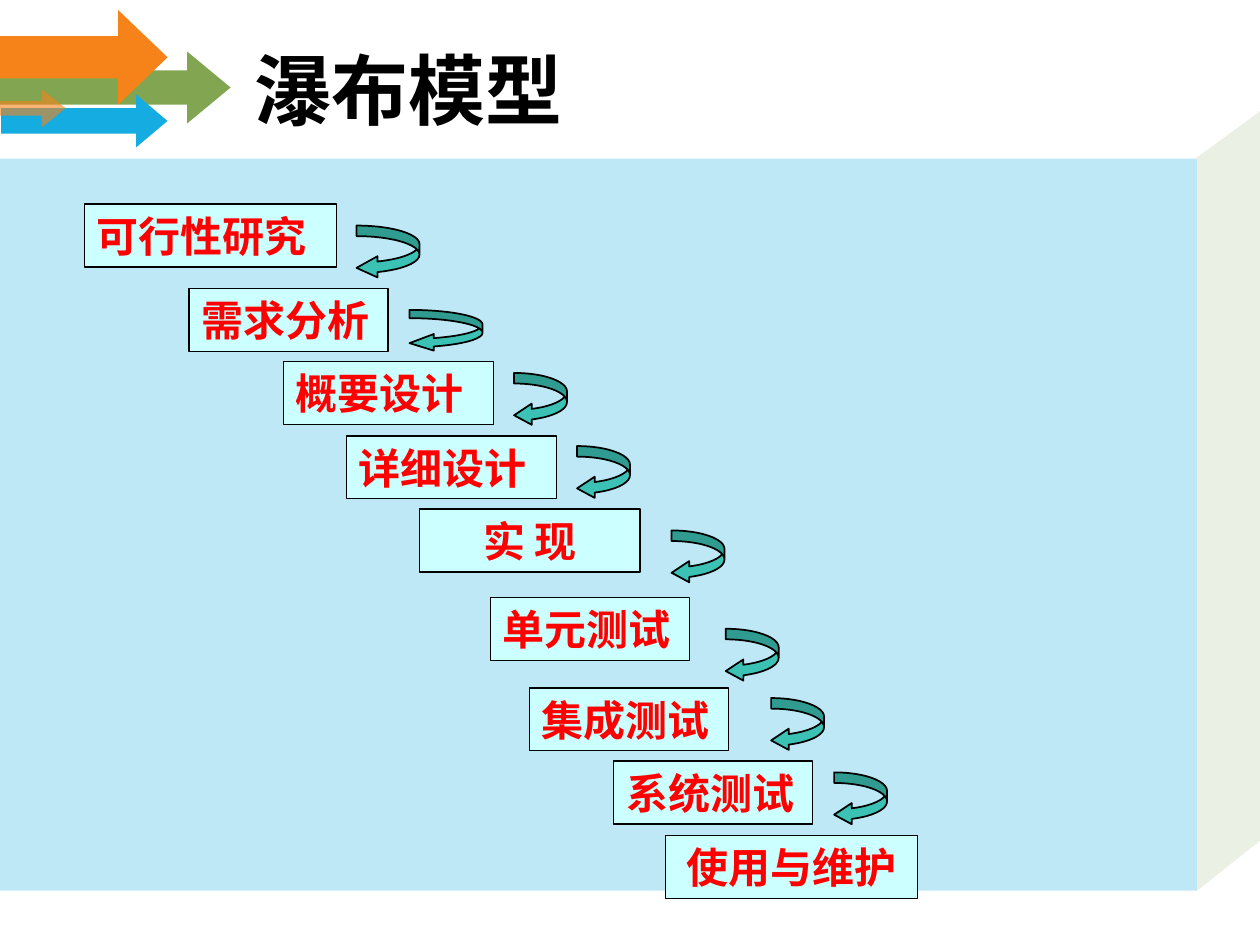
"""Build the waterfall model slide: a staircase of phases joined by curved arrows."""
from lxml import etree
from pptx import Presentation
from pptx.dml.color import RGBColor
from pptx.enum.shapes import MSO_SHAPE
from pptx.enum.text import MSO_ANCHOR, PP_ALIGN
from pptx.oxml.ns import qn
from pptx.util import Inches, Pt

RECTANGLE = MSO_SHAPE.RECTANGLE
UP_ARROW = MSO_SHAPE.UP_ARROW
CURVED_ARROW = MSO_SHAPE.CURVED_LEFT_ARROW
MIDDLE = MSO_ANCHOR.MIDDLE
LEFT, CENTER = PP_ALIGN.LEFT, PP_ALIGN.CENTER

TITLE = "瀑布模型"
PHASE_HEIGHT = 0.5
SMALL_TURN = (0.42, 0.42)

PHASES = [
    ("可行性研究", 0.67, 1.62, 2, LEFT),
    ("需求分析", 1.5, 2.29, 1.58, LEFT),
    ("概要设计", 2.25, 2.87, 1.67, LEFT),
    ("详细设计", 2.75, 3.46, 1.67, LEFT),
    ("实 现", 3.33, 4.04, 1.75, CENTER),
    ("单元测试", 3.89, 4.74, 1.58, LEFT),
    ("集成测试", 4.2, 5.46, 1.58, LEFT),
    ("系统测试", 4.87, 6.04, 1.58, LEFT),
    ("使用与维护", 5.28, 6.63, 2, CENTER),
]
TURNS = [
    (2.83, 1.79, 0.5, 0.42),
    (3.25, 2.46, 0.58, 0.33),
    (4.08, 2.96, *SMALL_TURN),
    (4.58, 3.54, *SMALL_TURN),
    (5.33, 4.21, *SMALL_TURN),
    (5.76, 4.99, *SMALL_TURN),
    (6.12, 5.54, *SMALL_TURN),
    (6.62, 6.13, *SMALL_TURN),
]
HEADER_ARROWS = [
    ((0.63, -0.22, 0.57, 1.83), (0.479, 0.604), "81A551", 100),
    ((0.29, -0.21, 0.75, 1.33), (0.447, 0.523), "F6831A", 100),
    ((0.46, 0.3, 0.42, 1.32), (0.479, 0.597), "15ACE1", 100),
    ((0.11, 0.6, 0.3, 0.52), (0.389, 0.624), "F6831A", 60),
]
PANEL = (0, 1.26, 9.5, 5.81)
PANEL_SIDE = [(9.5, 1.25), (10.06, 0.84), (10.03, 6.65), (9.5, 7.07)]


def rgb(color):
    return RGBColor.from_string(color)


def paint(shape, color, opacity=100, line_width=None):
    shape.shadow.inherit = False
    shape.fill.solid()
    shape.fill.fore_color.rgb = rgb(color)
    if opacity < 100:
        tint = shape.fill._xPr.find(qn("a:solidFill"))[0]
        etree.SubElement(tint, qn("a:alpha"), val=str(opacity * 1000))
    if line_width is None:
        shape.line.fill.background()
    else:
        shape.line.color.rgb = rgb("000000")
        shape.line.width = Pt(line_width)


def add_preset(slide, kind, box, adjustments=()):
    shape = slide.shapes.add_shape(kind, *map(Inches, box))
    for index, value in enumerate(adjustments):
        shape.adjustments[index] = value
    return shape


def write(shape, text, size, font, color, align=LEFT):
    frame = shape.text_frame
    frame.word_wrap = True
    frame.vertical_anchor = MIDDLE
    paragraph = frame.paragraphs[0]
    paragraph.alignment = align
    run = paragraph.add_run()
    run.text = text
    run.font.size = Pt(size)
    run.font.name = font
    run.font.bold = True
    run.font.color.rgb = rgb(color)


def add_background(slide):
    start, *corners = [(Inches(x), Inches(y)) for x, y in PANEL_SIDE]
    outline = slide.shapes.build_freeform(*start)
    outline.add_line_segments(corners, close=True)
    paint(outline.convert_to_shape(), "81A551", 16)
    paint(add_preset(slide, RECTANGLE, PANEL), "15ACE1", 27)
    for box, adjustments, color, opacity in HEADER_ARROWS:
        arrow = add_preset(slide, UP_ARROW, box, adjustments)
        arrow.rotation = 90
        paint(arrow, color, opacity)


def main():
    deck = Presentation()
    deck.slide_width, deck.slide_height = Inches(10), Inches(7.5)
    slide = deck.slides.add_slide(deck.slide_layouts[6])
    add_background(slide)
    for name, left, top, width, align in PHASES:
        phase = add_preset(slide, RECTANGLE, (left, top, width, PHASE_HEIGHT))
        paint(phase, "CCFFFF", line_width=0.75)
        write(phase, name, 24, "Times New Roman", "FF0000", align)
    for left, top, width, height in TURNS:
        head_length = width / height / 3
        turn = add_preset(slide, CURVED_ARROW, (left, top, width, height), (0.2, 0.4, head_length))
        paint(turn, "3CC2B5", line_width=1)
    title = slide.shapes.add_textbox(*map(Inches, (1.92, 0.11, 7.5, 1.18)))
    write(title, TITLE, 44, "Arial", "000000")
    deck.save("out.pptx")


if __name__ == "__main__":
    main()
